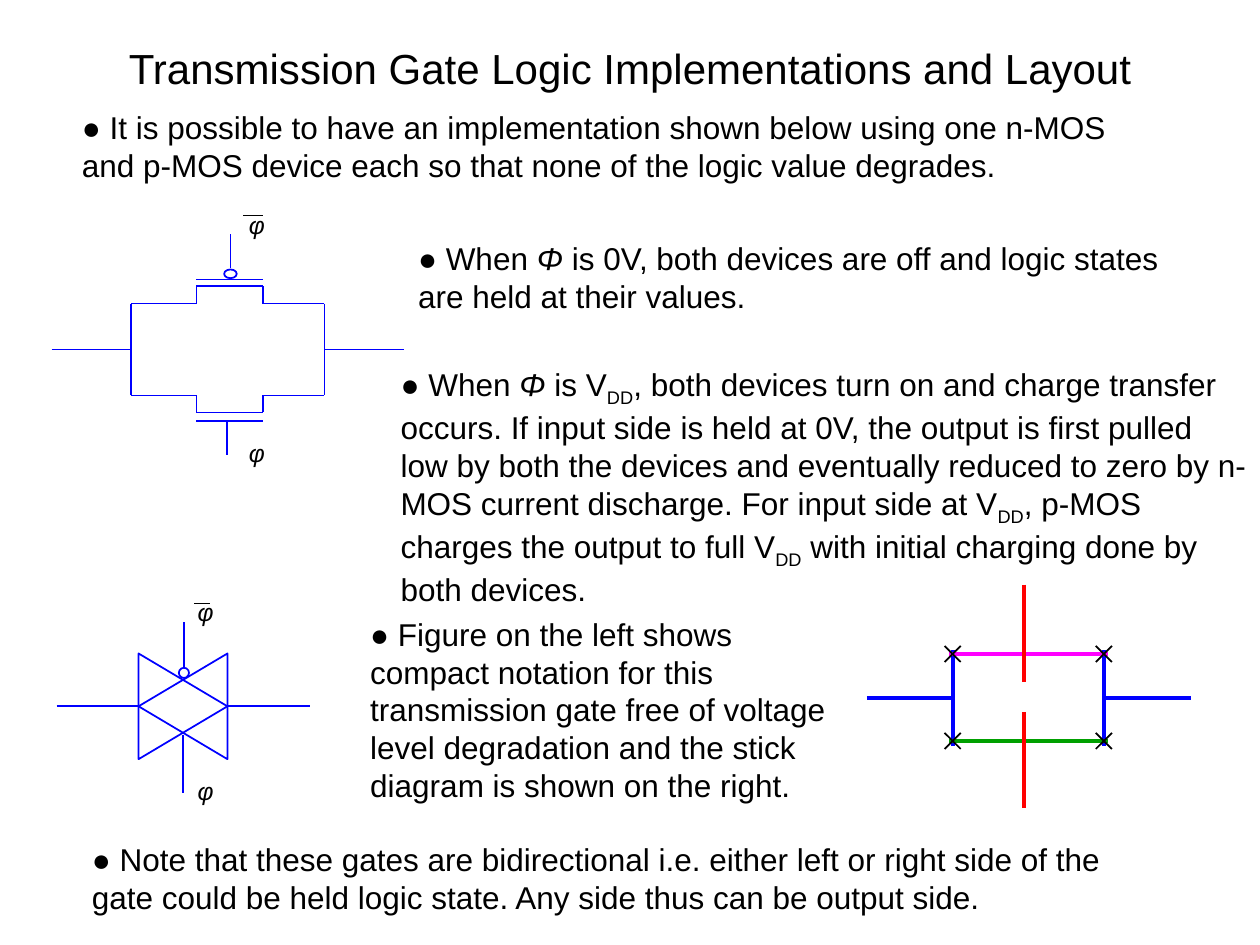
from lxml.etree import SubElement
from pptx import Presentation
from pptx.dml.color import RGBColor
from pptx.enum.shapes import MSO_CONNECTOR, MSO_SHAPE
from pptx.enum.text import MSO_ANCHOR, MSO_AUTO_SIZE, PP_ALIGN
from pptx.oxml.ns import qn
from pptx.util import Pt

COLORS = {
    "text": "000000",
    "wire": "0000FF",
    "p_diffusion": "FF00FF",
    "n_diffusion": "00A000",
    "gate": "FF0000",
}
FONT = "Arial"
PHI_SIZE = (7.2, 16.6)

TITLE = "Transmission Gate Logic Implementations and Layout"
INTRODUCTION = [("● It is possible to have an implementation shown below using one n-MOS "
                 "and p-MOS device each so that none of the logic value degrades.", "")]
NOTES = [
    ((231.8, 133.2, 462.2, 50.4), [
        ("● When ", ""), ("Φ", "italic"),
        (" is 0V, both devices are off and logic states are held at their values.", "")]),
    ((221.8, 205.2, 498.2, 146.2), [
        ("● When ", ""), ("Φ", "italic"), (" is V", ""), ("DD", "subscript"),
        (", both devices turn on and charge transfer occurs. If input side is held at 0V, "
         "the output is first pulled low by both the devices and eventually reduced to zero "
         "by n-MOS current discharge. For input side at V", ""), ("DD", "subscript"),
        (", p-MOS charges the output to full V", ""), ("DD", "subscript"),
        (" with initial charging done by both devices.", "")]),
    ((204.5, 347.8, 288, 115.2), [
        ("● Figure on the left shows compact notation for this transmission gate free of "
         "voltage level degradation and the stick diagram is shown on the right.", "")]),
    ((45.4, 476.6, 627.8, 50.4), [
        ("● Note that these gates are bidirectional i.e. either left or right side of the "
         "gate could be held logic state. Any side thus can be output side.", "")]),
]


def color(name):
    """Return the named colour."""
    return RGBColor.from_string(COLORS[name])


def place(shape, box):
    """Move and size a shape to a box in points."""
    shape.left, shape.top, shape.width, shape.height = [Pt(value) for value in box]


def write(shape, runs, size, align=PP_ALIGN.LEFT, before=0, margins=(7.2, 3.6), wrap=True):
    """Fill a shape with one paragraph of styled runs."""
    frame = shape.text_frame
    frame.word_wrap = wrap
    frame.auto_size = MSO_AUTO_SIZE.SHAPE_TO_FIT_TEXT
    frame.vertical_anchor = MSO_ANCHOR.TOP
    frame.margin_left = frame.margin_right = Pt(margins[0])
    frame.margin_top = frame.margin_bottom = Pt(margins[1])
    paragraph = frame.paragraphs[0]
    paragraph.alignment = align
    paragraph.space_before = Pt(before)
    for text, style in runs:
        run = paragraph.add_run()
        run.text = text
        run.font.name = FONT
        run.font.size = Pt(size)
        run.font.color.rgb = color("text")
        if style == "italic":
            run.font.italic = True
        elif style == "subscript":
            run.font._element.set("baseline", "-25000")


def add_line(group, box, points, name="wire", width=1):
    """Draw a line between two points relative to a box."""
    x1, y1, x2, y2 = points
    left, top = box[:2]
    line = group.shapes.add_connector(MSO_CONNECTOR.STRAIGHT, Pt(left + x1), Pt(top + y1),
                                      Pt(left + x2), Pt(top + y2))
    line.line.color.rgb = color(name)
    line.line.width = Pt(width)
    SubElement(line._element.spPr, qn("a:effectLst"))


def outline(shape):
    """Give a shape a thin wire outline without fill or shadow."""
    shape.shadow.inherit = False
    shape.fill.background()
    shape.line.color.rgb = color("wire")
    shape.line.width = Pt(1)


def add_bubble(group, box, x, y, width, height):
    """Draw the inversion bubble of the p-MOS gate."""
    bubble = group.shapes.add_shape(MSO_SHAPE.OVAL, Pt(box[0] + x), Pt(box[1] + y),
                                    Pt(width), Pt(height))
    outline(bubble)


def add_phi(group, box, x, y):
    """Place a clock label."""
    label = group.shapes.add_textbox(0, 0, 0, 0)
    write(label, [("φ", "italic")], 14, PP_ALIGN.CENTER, margins=(0, 0), wrap=False)
    place(label, (box[0] + x, box[1] + y, *PHI_SIZE))


def add_triangle(group, box, points):
    """Draw one closed triangle of the compact symbol."""
    corners = [(Pt(box[0] + x), Pt(box[1] + y)) for x, y in points]
    builder = group.shapes.build_freeform(*corners[0])
    builder.add_line_segments(corners[1:], close=True)
    outline(builder.convert_to_shape())


def add_header(slide, title_box, body_box):
    """Fill the title and the introduction placeholders."""
    title, body = slide.shapes.title, slide.placeholders[1]
    write(title, [(TITLE, "")], 24, PP_ALIGN.CENTER, 15)
    write(body, INTRODUCTION, 18, before=11.2)
    properties = body.text_frame.paragraphs[0]._p.get_or_add_pPr()
    properties.set("marL", "0")
    properties.set("indent", "0")
    SubElement(properties, qn("a:buNone"))
    place(title, title_box)
    place(body, body_box)


def add_note(slide, box, runs):
    """Place one explanatory paragraph."""
    note = slide.shapes.add_textbox(0, 0, 0, 0)
    write(note, runs, 18, before=11.2)
    place(note, box)


def add_stick_diagram(slide, box):
    """Draw the stick diagram with its four contacts."""
    group = slide.shapes.add_group_shape()
    width, height = box[2:]
    left, right, gate, middle = 49, 135.4, 90, 64.8
    top, bottom, contact = 39.6, 89.3, 4.6
    for x in (left, right):
        add_line(group, box, (x, top - 2.2, x, bottom + 2.9), "wire", 2.25)
    for y, name in ((top, "p_diffusion"), (bottom, "n_diffusion")):
        add_line(group, box, (left - 2.2, y, right + 2.2, y), name, 2.25)
    for start, end in ((0, 55.4), (72.7, height)):
        add_line(group, box, (gate, start, gate, end), "gate", 2.25)
    for start, end in ((0, left), (right, width)):
        add_line(group, box, (start, middle, end, middle), "wire", 2.25)
    for x in (left, right):
        for y in (top, bottom):
            for rise in (contact, -contact):
                add_line(group, box, (x - contact, y + rise, x + contact, y - rise), "text")


def add_compact_symbol(slide, box):
    """Draw the compact symbol of the transmission gate."""
    group = slide.shapes.add_group_shape()
    left, right, middle, half = 46.8, 97.6, 62.3, 30.2
    for base, tip in ((left, right), (right, left)):
        add_triangle(group, box, [(tip, middle), (base, middle - half), (base, middle + half)])
    add_bubble(group, box, 69.8, 40.3, 5.8, 5.8)
    for points in ((72.7, 39.6, 72.7, 14.4), (72, 111.6, 72, 78.5),
                   (0, middle, left, middle), (right, middle, box[2], middle)):
        add_line(group, box, points)
    for y in (0, 102.2):
        add_phi(group, box, 80.6, y)
    add_line(group, box, (78.5, 3.6, 87.8, 3.6), "text")


def add_transistor_pair(slide, box):
    """Draw the parallel p-MOS and n-MOS transistors."""
    group = slide.shapes.add_group_shape()
    left, right, inner_left, inner_right = 45.4, 155.9, 82.8, 120.6
    p_row, n_row, middle = 53.3, 105.8, 79.6
    for row, channel, plate in ((p_row, 43.2, 39.6), (n_row, 115.5, 120.2)):
        add_line(group, box, (left, row, inner_left, row))
        add_line(group, box, (inner_right, row, right, row))
        add_line(group, box, (inner_left, channel, inner_right, channel))
        add_line(group, box, (inner_left, plate, inner_right, plate))
        for x in (inner_left, inner_right):
            add_line(group, box, (x, row, x, channel))
    for x in (left, right):
        add_line(group, box, (x, p_row, x, n_row))
    for points in ((0, middle, left, middle), (right, middle, box[2], middle),
                   (102.2, 33.1, 102.2, 13.7), (100.1, 139.7, 100.1, 120.2)):
        add_line(group, box, points)
    add_bubble(group, box, 98.6, 33.8, 7.2, 5)
    for y in (0, 130.3):
        add_phi(group, box, 112.7, y)
    add_line(group, box, (109.4, 2.9, 121, 2.9), "text")


def main():
    """Build and save the slide."""
    presentation = Presentation()
    presentation.slide_width, presentation.slide_height = Pt(720), Pt(540)
    slide = presentation.slides.add_slide(presentation.slide_layouts[1])
    add_header(slide, (25.9, 20.9, 668.2, 36), (39.6, 58.3, 627.8, 50.4))
    add_stick_diagram(slide, (495.4, 334.1, 185, 127.4))
    add_compact_symbol(slide, (32.4, 341.3, 144.7, 118.8))
    add_transistor_pair(slide, (29.5, 120.2, 201.6, 146.9))
    for box, runs in NOTES:
        add_note(slide, box, runs)
    presentation.save("out.pptx")


if __name__ == "__main__":
    main()
